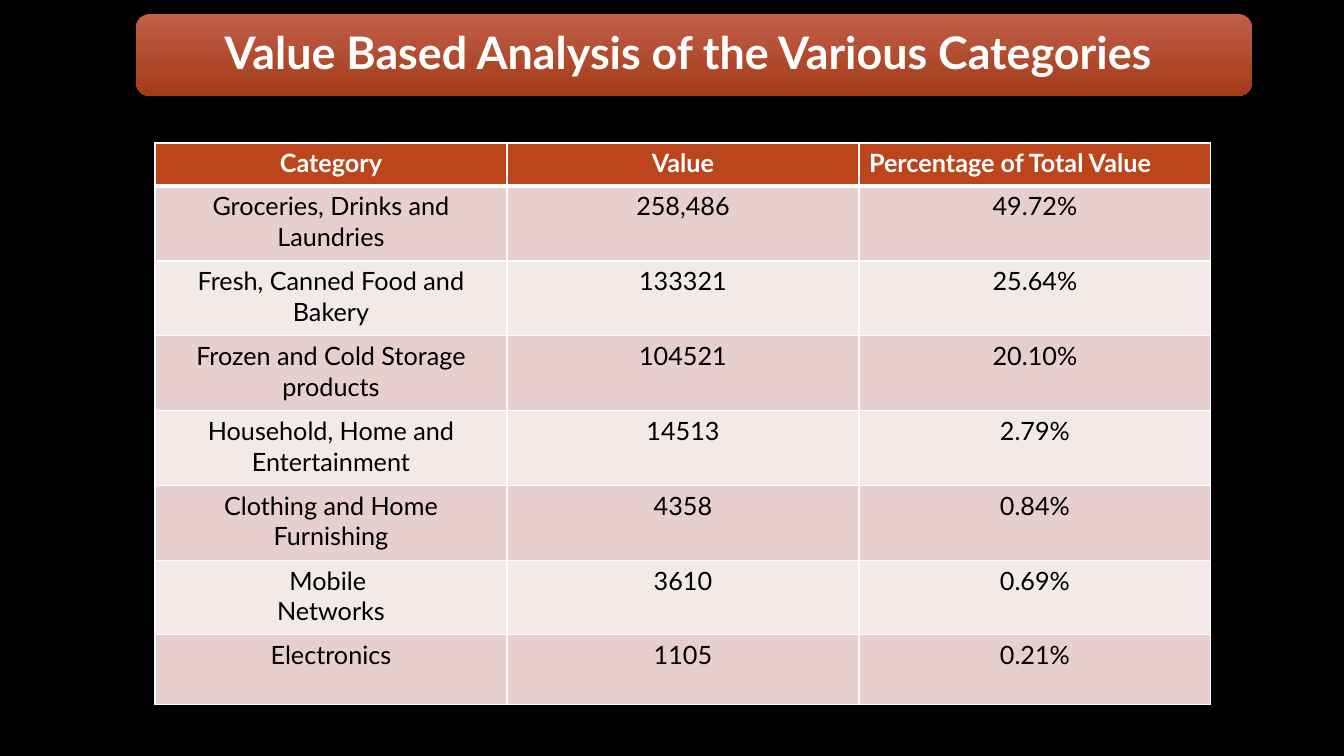
from lxml import etree
from pptx import Presentation
from pptx import util as u
from pptx.dml.color import RGBColor
from pptx.enum import shapes, text
from pptx.oxml import ns

EMU_PER_PX = 914400 / 100.8
FONT = "Lato"
WHITE, BLACK = "FFFFFF", "000000"
HEADER_FILL = "BC451B"
BAND_FILLS = ["E7CFCD", "F3E9E8"]
TITLE = "Value Based Analysis of the Various Categories "
ROWS = [
    ("Category", "Value", "Percentage of Total Value"),
    ("Groceries, Drinks and Laundries", "258,486", "49.72%"),
    ("Fresh, Canned Food and Bakery", "133321", "25.64%"),
    ("Frozen and Cold Storage products", "104521", "20.10%"),
    ("Household, Home and Entertainment", "14513", "2.79%"),
    ("Clothing and Home Furnishing", "4358", "0.84%"),
    ("Mobile \nNetworks", "3610", "0.69%"),
    ("Electronics", "1105", "0.21%"),
]
COLUMN_WIDTH = 352
ROW_HEIGHTS = [43] + [75] * 5 + [74, 70]


def px(length):
    return u.Emu(round(length * EMU_PER_PX))


def color(value):
    return RGBColor.from_string(value)


def style_text(para, size, hex_color, bold, align):
    para.alignment = align
    for span in para.runs:
        span.font.name = FONT
        span.font.size = u.Pt(size)
        span.font.bold = bold
        span.font.color.rgb = color(hex_color)


def add_banner(page, left, top, width, height):
    """Put a gradient panel behind the title placeholder."""
    banner = page.shapes.add_shape(
        shapes.MSO_SHAPE.ROUNDED_RECTANGLE, px(left), px(top), px(width), px(height))
    banner.shadow.inherit = False
    banner.line.fill.background()
    banner.fill.gradient()
    banner.fill.gradient_angle = 270
    for stop, position, shade in zip(banner.fill.gradient_stops, (0, 1), ("C25F4A", "A23B17")):
        stop.position = position
        stop.color.rgb = color(shade)
    page.shapes.title.element.addprevious(banner.element)


def set_title(page, left, top, width, height):
    title = page.shapes.title
    title.left, title.top, title.width, title.height = map(px, (left, top, width, height))
    frame = title.text_frame
    frame.text = TITLE
    frame.word_wrap = True
    frame.auto_size = text.MSO_AUTO_SIZE.NONE
    frame.vertical_anchor = text.MSO_ANCHOR.MIDDLE
    frame.margin_left = frame.margin_right = frame.margin_top = frame.margin_bottom = px(13)
    para = frame.paragraphs[0]
    para.line_spacing = 0.9
    style_text(para, 32, WHITE, True, text.PP_ALIGN.CENTER)


def set_borders(cell, **points):
    """Draw white cell borders; widths are keyed by side: L, R, T, B."""
    properties = cell._tc.get_or_add_tcPr()
    for index, side in enumerate("LRTB"):
        line = etree.Element(ns.qn("a:ln" + side), w=str(u.Pt(points.get(side, 1))))
        fill = etree.SubElement(line, ns.qn("a:solidFill"))
        etree.SubElement(fill, ns.qn("a:srgbClr"), val=WHITE)
        properties.insert(index, line)


def fill_cell(cell, words, row, column):
    header = row == 0
    cell.text = words
    cell.fill.solid()
    cell.fill.fore_color.rgb = color(HEADER_FILL if header else BAND_FILLS[(row - 1) % 2])
    left_aligned = header and column == 2
    align = text.PP_ALIGN.LEFT if left_aligned else text.PP_ALIGN.CENTER
    for para in cell.text_frame.paragraphs:
        style_text(para, 18, WHITE if header else BLACK, header, align)
    set_borders(cell, B=3 if header else 1, T=3 if row == 1 else 1)


def add_category_table(page, left, top):
    columns = len(ROWS[0])
    table = page.shapes.add_table(
        len(ROWS), columns, px(left), px(top),
        px(COLUMN_WIDTH * columns), px(sum(ROW_HEIGHTS))).table
    for column in table.columns:
        column.width = px(COLUMN_WIDTH)
    for row, (values, height) in enumerate(zip(ROWS, ROW_HEIGHTS)):
        table.rows[row].height = px(height)
        for column, words in enumerate(values):
            fill_cell(table.cell(row, column), words, row, column)


def main():
    deck = Presentation()
    deck.slide_width, deck.slide_height = px(1344), px(756)
    page = deck.slides.add_slide(deck.slide_layouts[5])
    page.background.fill.solid()
    page.background.fill.fore_color.rgb = color(BLACK)
    add_banner(page, 136, 14, 1116, 82)
    set_title(page, 140, 18, 1108, 74)
    add_category_table(page, 155, 143)
    deck.save("out.pptx")


if __name__ == "__main__":
    main()
